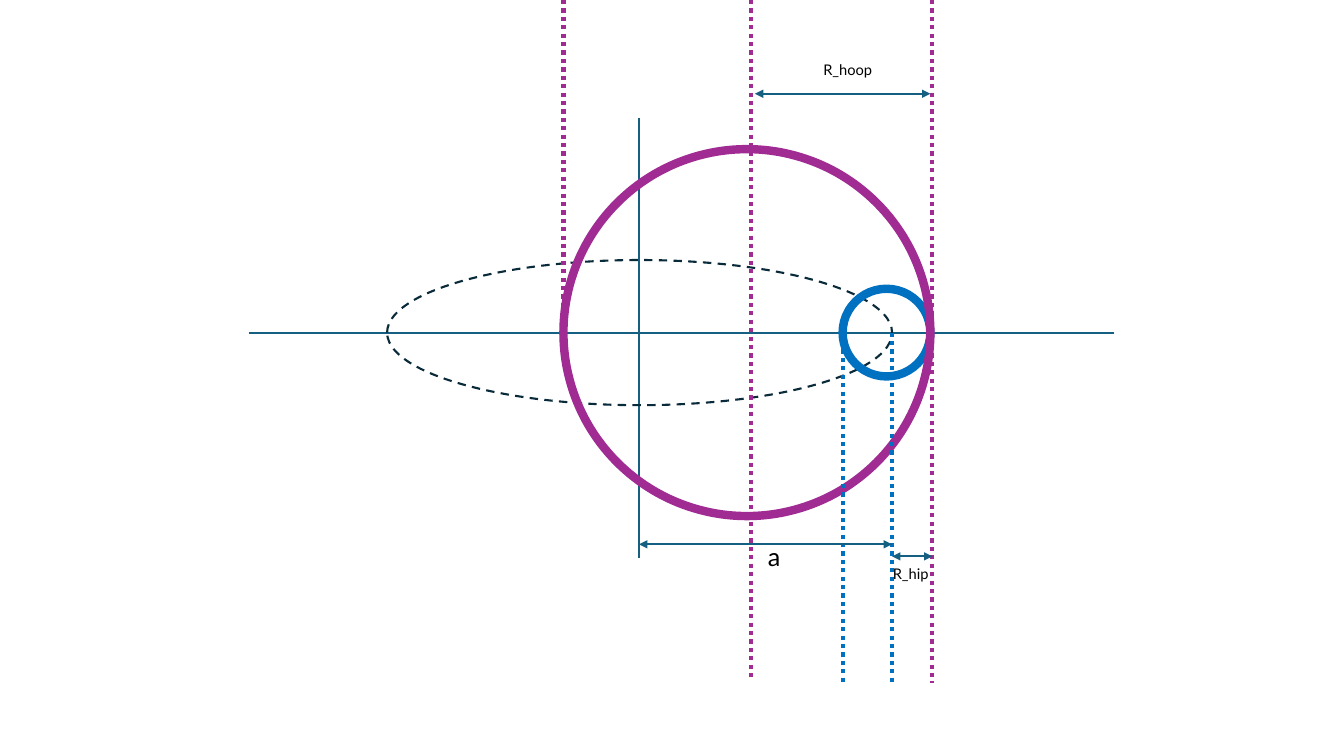
"""Draw a hula hoop geometry diagram: hip orbit, hip circle, hoop and dimensions."""
from dataclasses import dataclass

from lxml.etree import SubElement
from pptx import Presentation
from pptx.dml.color import RGBColor
from pptx.dml.line import LineFormat
from pptx.enum.dml import MSO_LINE
from pptx.enum.shapes import MSO_CONNECTOR, MSO_SHAPE
from pptx.enum.text import MSO_AUTO_SIZE
from pptx.oxml.ns import qn
from pptx.slide import Slide
from pptx.util import Pt

TEAL, NAVY, BLUE, PURPLE, BLACK = "156082", "092A39", "0070C0", "A02B93", "000000"
FONT = "Lato"
AXIS_Y = 237.6
ORBIT_X = 456.48
HOOP_LEFT, HOOP_MID, HOOP_RIGHT = 402.48, 536.4, 666
HIP_LEFT, HIP_MID = 601.92, 637.2
GUIDE_END = 488.16


@dataclass
class Line:
    """A straight line, optionally dotted or with arrowheads at both ends."""

    x1: float
    y1: float
    x2: float
    y2: float
    color: str = TEAL
    width: float = 1.5
    dash: MSO_LINE | None = None
    arrows: bool = False


@dataclass
class Ellipse:
    """An unfilled ellipse given by its centre and diameters."""

    cx: float
    cy: float
    w: float
    h: float
    color: str
    width: float
    dash: MSO_LINE | None = None


@dataclass
class Label:
    """A text box with one run."""

    text: str
    x: float
    y: float
    w: float
    h: float
    size: float
    wrap: bool = False


def guide(x: float, y1: float, y2: float, color: str) -> Line:
    """Describe a dotted vertical guide."""
    return Line(x, y1, x, y2, color, 3, MSO_LINE.ROUND_DOT)


def dimension(x1: float, x2: float, y: float) -> Line:
    """Describe a horizontal double-headed dimension arrow."""
    return Line(x1, y, x2, y, arrows=True)


AXES = [
    Line(177.84, AXIS_Y, 795.6, AXIS_Y),
    Line(ORBIT_X, 84.24, ORBIT_X, 398.88),
]
ELLIPSES = [
    Ellipse(456.84, AXIS_Y, 360.72, 103.68, NAVY, 1.5, MSO_LINE.DASH),
    Ellipse(633.24, AXIS_Y, 62.64, 62.64, BLUE, 6),
    Ellipse(533.52, AXIS_Y, 262.08, 262.08, PURPLE, 6),
]
GUIDES = [
    guide(HIP_LEFT, AXIS_Y, GUIDE_END, BLUE),
    guide(HOOP_LEFT, 0, 250.56, PURPLE),
    guide(HIP_MID, AXIS_Y, GUIDE_END, BLUE),
    guide(HOOP_RIGHT, 0, GUIDE_END, PURPLE),
    guide(HOOP_MID, 0, 486.72, PURPLE),
]
DIMENSIONS = [
    dimension(ORBIT_X, HIP_MID, 388.8),
    dimension(HIP_MID, HOOP_RIGHT, 397.44),
    dimension(539.28, 664.56, 66.96),
]
LABELS = [
    Label("a", 541.44, 383.04, 24.48, 28.8, 18),
    Label("R_hip", 630.72, 399.6, 41.04, 20.88, 10.5),
    Label("R_hoop", 581.04, 39.6, 82.8, 20.16, 10.5, wrap=True),
]


def rgb(color: str) -> RGBColor:
    """Turn a hex string into a colour."""
    return RGBColor.from_string(color)


def style_line(line: LineFormat, item: Line | Ellipse) -> None:
    """Apply colour, width and dash to a line."""
    line.color.rgb = rgb(item.color)
    line.width = Pt(item.width)
    if item.dash is not None:
        line.dash_style = item.dash


def draw_line(s: Slide, item: Line) -> None:
    """Draw a line without shadow, with arrowheads where asked."""
    ends = map(Pt, (item.x1, item.y1, item.x2, item.y2))
    c = s.shapes.add_connector(MSO_CONNECTOR.STRAIGHT, *ends)
    style_line(c.line, item)
    if item.arrows:
        ln = c.line._get_or_add_ln()
        for tag in ("a:headEnd", "a:tailEnd"):
            SubElement(ln, qn(tag), type="triangle")
    SubElement(c._element.spPr, qn("a:effectLst"))


def draw_ellipse(s: Slide, item: Ellipse) -> None:
    """Draw an outlined ellipse around its centre."""
    sp = s.shapes.add_shape(
        MSO_SHAPE.OVAL,
        Pt(item.cx - item.w / 2),
        Pt(item.cy - item.h / 2),
        Pt(item.w),
        Pt(item.h),
    )
    sp.shadow.inherit = False
    sp.fill.background()
    style_line(sp.line, item)


def draw_label(s: Slide, item: Label) -> None:
    """Draw a text label."""
    sp = s.shapes.add_textbox(Pt(item.x), Pt(item.y), Pt(item.w), Pt(item.h))
    tf = sp.text_frame
    tf.word_wrap = item.wrap
    tf.auto_size = MSO_AUTO_SIZE.SHAPE_TO_FIT_TEXT
    r = tf.paragraphs[0].add_run()
    r.text = item.text
    r.font.name = FONT
    r.font.size = Pt(item.size)
    r.font.color.rgb = rgb(BLACK)


def main() -> None:
    """Build and save the slide."""
    prs = Presentation()
    prs.slide_width, prs.slide_height = Pt(960), Pt(540)
    s = prs.slides.add_slide(prs.slide_layouts[6])
    for item in AXES:
        draw_line(s, item)
    for item in ELLIPSES:
        draw_ellipse(s, item)
    for item in GUIDES + DIMENSIONS:
        draw_line(s, item)
    for item in LABELS:
        draw_label(s, item)
    prs.save("out.pptx")


if __name__ == "__main__":
    main()
